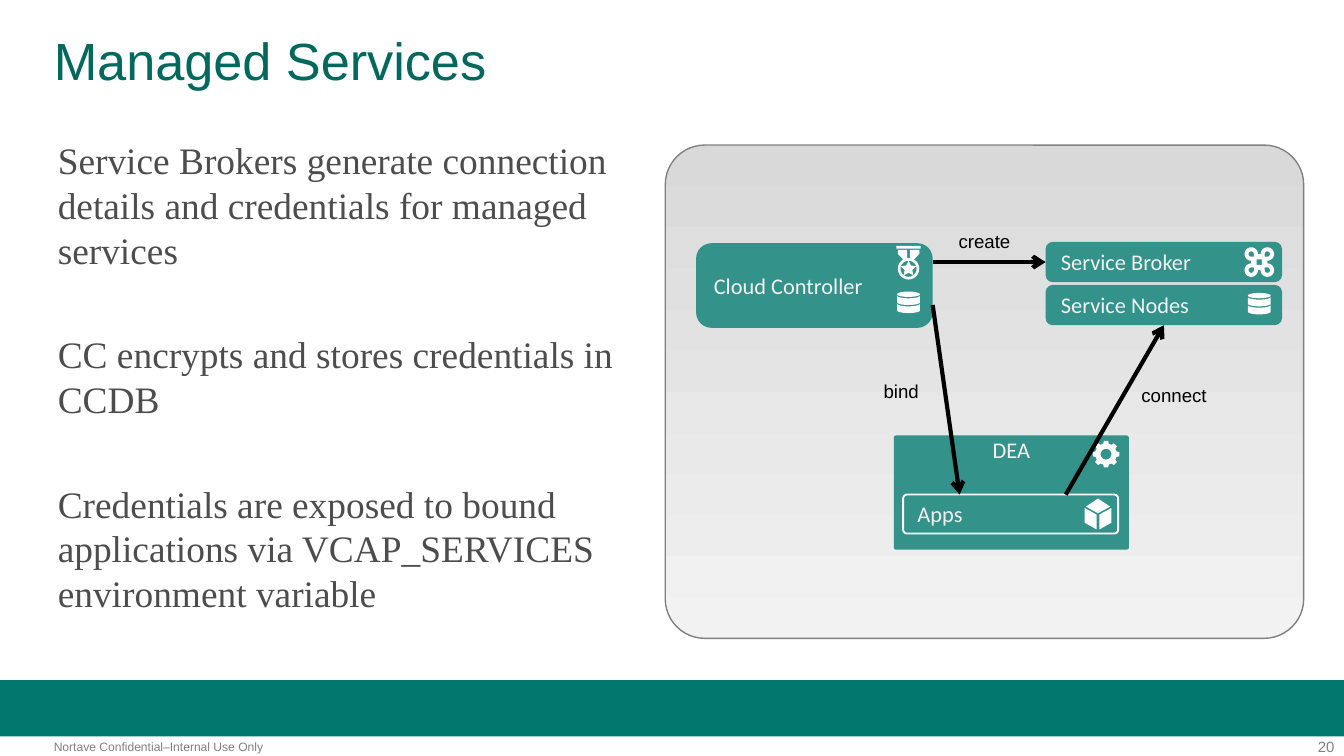
from math import cos, pi, sin

from pptx import Presentation
from pptx.dml.color import RGBColor
from pptx.enum.shapes import MSO_CONNECTOR, MSO_SHAPE
from pptx.enum.text import MSO_ANCHOR, MSO_AUTO_SIZE, PP_ALIGN
from pptx.oxml.ns import qn
from pptx.util import Inches, Pt
from lxml.etree import SubElement

# Colours
BAR = RGBColor(0x00, 0x78, 0x6E)
HEAD = RGBColor(0x00, 0x68, 0x5D)
TEAL = RGBColor(0x33, 0x92, 0x8A)
WHITE = RGBColor(0xFF, 0xFF, 0xFF)
PALE = RGBColor(0xF2, 0xF2, 0xF2)
SILVER = RGBColor(0xD9, 0xD9, 0xD9)
GREY = RGBColor(0x80, 0x80, 0x80)
DARK = RGBColor(0x4D, 0x4D, 0x4D)
BLACK = RGBColor(0, 0, 0)

# Content
TITLE = "Managed Services"
POINTS = [
    "Service Brokers generate connection details and credentials for managed services",
    "CC encrypts and stores credentials in CCDB",
    "Credentials are exposed to bound applications via VCAP_SERVICES environment variable",
]
# text, box, corner, fill, line, align, anchor
LEFT, MID = PP_ALIGN.LEFT, MSO_ANCHOR.MIDDLE
NODES = [
    ("DEA", (6.65, 3.24, 1.75, 0.85), 0.02, TEAL, None, PP_ALIGN.CENTER, MSO_ANCHOR.TOP),
    ("Apps", (6.72, 3.68, 1.6, 0.29), 0.1, None, WHITE, LEFT, MID),
    ("Service Broker", (7.78, 1.8, 1.76, 0.3), 0.18, TEAL, None, LEFT, MID),
    ("Service Nodes", (7.78, 2.12, 1.76, 0.3), 0.18, TEAL, None, LEFT, MID),
    ("Cloud Controller", (5.18, 1.81, 1.76, 0.63), 0.18, TEAL, None, LEFT, MID),
]
# label, label box, arrow start, arrow end
LINKS = [
    ("create", (7.03, 1.66, 0.59, 0.27), (6.94, 1.95), (7.78, 1.95)),
    ("bind", (6.47, 2.78, 0.47, 0.27), (6.94, 2.27), (7.14, 3.68)),
    ("connect", (8.39, 2.81, 0.69, 0.27), (7.93, 3.68), (8.66, 2.42)),
]
# text, box, size, align
NOTES = [
    ("20", (9.35, 5.49, 0.58, 0.13), 8, PP_ALIGN.RIGHT),
    ("Nortave Confidential–Internal Use Only", (0.4, 5.5, 2.49, 0.11), 6.5, LEFT),
]

# Widescreen page, 16 to 9
deck = Presentation()
deck.slide_width = Inches(10)
deck.slide_height = Inches(10) * 9 // 16
slide = deck.slides.add_slide(deck.slide_layouts[1])
shapes = slide.shapes


def place(item, box):
    item.left, item.top, item.width, item.height = map(Inches, box)


def write(para, text, size, font, color, align=LEFT):
    para.alignment = align
    run = para.add_run()
    run.text = text
    run.font.size, run.font.name = Pt(size), font
    run.font.color.rgb = color


def inset(frame, x, y):
    frame.margin_left = frame.margin_right = Inches(x)
    frame.margin_top = frame.margin_bottom = Inches(y)


def paint(item, fill, line=None, width=1):
    item.shadow.inherit = False
    if fill is None:
        item.fill.background()
    else:
        item.fill.solid()
        item.fill.fore_color.rgb = fill
    if line is None:
        item.line.fill.background()
    else:
        item.line.color.rgb = line
        item.line.width = Pt(width)


def block(kind, box, fill, line=None, width=1, corner=None):
    item = shapes.add_shape(kind, *map(Inches, box))
    paint(item, fill, line, width)
    if corner is not None:
        item.adjustments[0] = corner
    return item


def label(text, box, size, color, align, pad=(0, 0)):
    frame = shapes.add_textbox(*map(Inches, box)).text_frame
    frame.word_wrap = False
    inset(frame, *pad)
    write(frame.paragraphs[0], text, size, "Arial", color, align)


# Icon outlines, as lists of closed point lists
def arc(x, y, wide, high, start, end, steps=24):
    turns = [(start + (end - start) * i / steps) * pi / 180 for i in range(steps + 1)]
    return [(x + wide * cos(t), y + high * sin(t)) for t in turns]


def disk(x, y, r):
    return arc(x, y, r, r, 0, 360)[:-1]


def drum(x, top):
    bands = [arc(x, y + 0.05, 0.085, 0.02, 0, 180) + arc(x, y, 0.085, 0.02, 180, 0)
             for y in (top + 0.03, top + 0.09)]
    return [arc(x, top + 0.02, 0.085, 0.02, 0, 360)] + bands


def cube(x, top):
    sides = [[(x + s * 0.1, top + 0.07), (x + s * 0.01, top + 0.12),
              (x + s * 0.01, top + 0.23), (x + s * 0.1, top + 0.18)] for s in (-1, 1)]
    return sides + [[(x, top), (x + 0.09, top + 0.06), (x, top + 0.11), (x - 0.09, top + 0.06)]]


def gear(x, y):
    rim = []
    for tooth in range(8):
        for turn, r in ((-15, 0.08), (-9, 0.1), (9, 0.1), (15, 0.08)):
            t = (tooth * 45 + turn) * pi / 180
            rim.append((x + r * cos(t), y + r * sin(t)))
    return [rim, disk(x, y, 0.04)]


def knot(x, y):
    rim, core, loops = [], [], []
    ux, uy = 1, -1
    for start in (180, 270, 360, 450):
        cx, cy = x + 0.06 * ux, y + 0.06 * uy
        rim += arc(cx, cy, 0.05, 0.05, start, start + 270)
        core.append((x + 0.02 * ux, y + 0.02 * uy))
        loops.append(arc(cx, cy, 0.02, 0.02, start, start + 270)
                     + [(x + 0.04 * ux, y + 0.04 * uy)])
        ux, uy = -uy, ux
    return [rim, core] + loops


def medal(x, top):
    y = top + 0.17
    bar = [(x - 0.09, top), (x + 0.09, top), (x + 0.09, top + 0.02), (x - 0.09, top + 0.02)]
    bands = [[(x + s * dx, top + dy) for dx, dy in
              ((0.08, 0.03), (0.01, 0.03), (0.01, 0.09), (0.04, 0.1), (0.08, 0.06))]
             for s in (-1, 1)]
    star = []
    for i in range(10):
        r, t = (0.03 if i % 2 else 0.06), i * pi / 5
        star.append((x + r * sin(t), y - r * cos(t)))
    return [bar, *bands, disk(x, y, 0.08), disk(x, y, 0.06), star]


def icon(rings):
    pen = None
    for ring in rings:
        pts = [(Inches(x), Inches(y)) for x, y in ring]
        if pen is None:
            pen = shapes.build_freeform(*pts[0])
        else:
            pen.move_to(*pts[0])
        pen.add_line_segments(pts[1:], close=True)
    paint(pen.convert_to_shape(), WHITE)


# Title and list
title, body = shapes.title, slide.placeholders[1]
for item, box in ((title, (0.4, 0.26, 9.2, 0.5)), (body, (0.33, 0.97, 4.44, 4.02))):
    place(item, box)
    item.text_frame.auto_size = MSO_AUTO_SIZE.NONE
    item.text_frame.vertical_anchor = MSO_ANCHOR.TOP
inset(title.text_frame, 0, 0)
head = title.text_frame.paragraphs[0]
head.line_spacing = 0.9
write(head, TITLE, 28, "Arial", HEAD)
for i, text in enumerate(POINTS):
    para = body.text_frame.add_paragraph() if i else body.text_frame.paragraphs[0]
    para.space_before = Pt(32 if i else 4)
    props = para._p.get_or_add_pPr()
    props.set("marL", "0")
    props.set("indent", "0")
    SubElement(props, qn("a:buNone"))
    write(para, text, 20, "Times New Roman", DARK)

# Footer
block(MSO_SHAPE.RECTANGLE, (0, 5.06, 10, 0.42), BAR)
for text, box, size, align in NOTES:
    label(text, box, size, GREY, align)

# Panel and nodes
panel = block(MSO_SHAPE.ROUNDED_RECTANGLE, (4.95, 1.08, 4.75, 3.67), SILVER, GREY, 0.75, 0.08)
panel.fill.gradient()
panel.fill.gradient_angle = 270
for stop, color in zip(panel.fill.gradient_stops, (SILVER, PALE)):
    stop.color.rgb = color
for text, box, corner, fill, line, align, anchor in NODES:
    frame = block(MSO_SHAPE.ROUNDED_RECTANGLE, box, fill, line, 1, corner).text_frame
    frame.word_wrap, frame.vertical_anchor = True, anchor
    inset(frame, 0.1, 0)
    write(frame.paragraphs[0], text, 12, "Calibri", PALE, align)
for rings in (cube(8.17, 3.71), gear(8.23, 3.38), knot(9.37, 1.95),
              drum(9.37, 2.18), medal(6.76, 1.83), drum(6.76, 2.17)):
    icon(rings)

# Arrows and labels
for text, box, start, end in LINKS:
    link = shapes.add_connector(MSO_CONNECTOR.STRAIGHT, *map(Inches, start + end))
    link.line.color.rgb, link.line.width = BLACK, Pt(2.25)
    SubElement(link.line._get_or_add_ln(), qn("a:tailEnd"), type="arrow")
    SubElement(link._element.spPr, qn("a:effectLst"))
    label(text, box, 10, BLACK, PP_ALIGN.CENTER, (0.1, 0.05))

deck.save("out.pptx")
